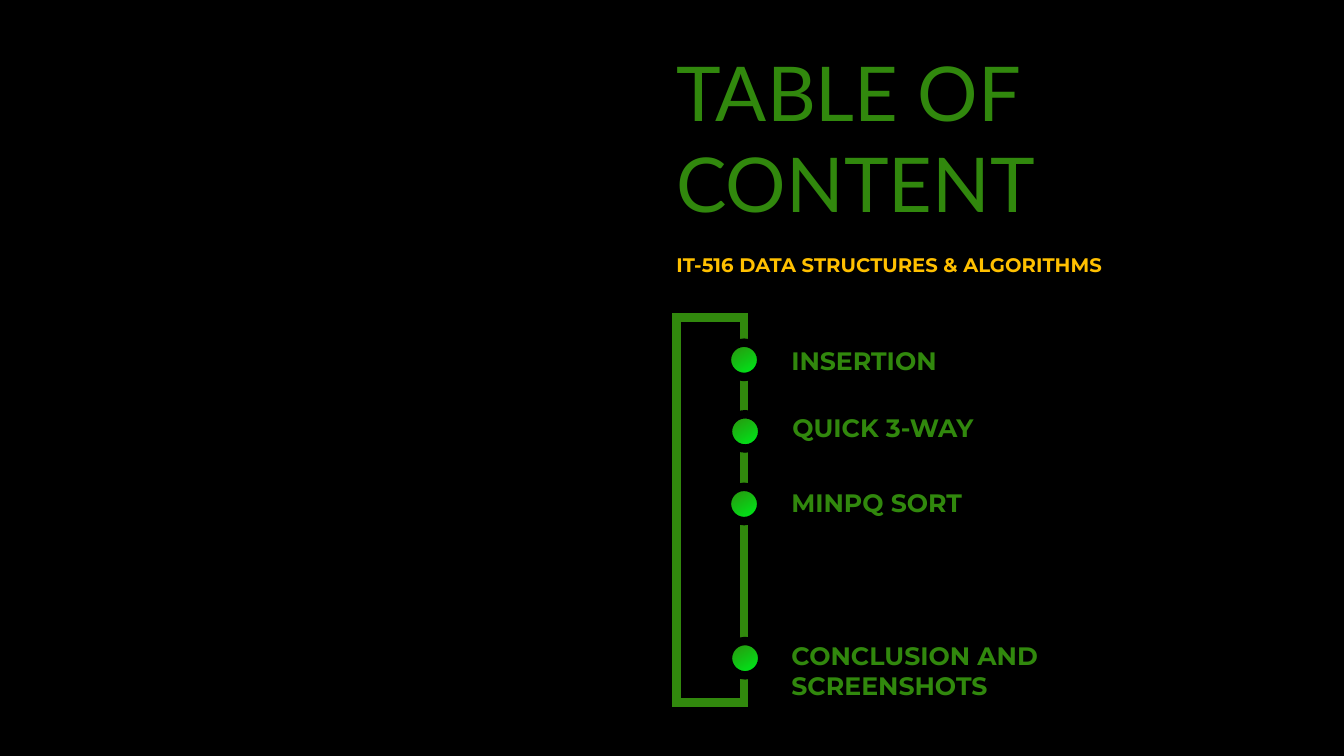
from copy import deepcopy
from lxml.etree import SubElement
from pptx import Presentation
from pptx.dml.color import RGBColor
from pptx.enum.shapes import MSO_SHAPE as SHAPE
from pptx.enum.text import MSO_ANCHOR as ANCHOR, MSO_AUTO_SIZE as AUTO, PP_ALIGN as ALIGN
from pptx.oxml.ns import qn
from pptx.util import Inches, Pt

GREEN, GOLD, BLACK = "31880D", "FFC000", "000000"
STOPS = [(0, GREEN), (0.83, "00E619"), (1, "92D12B")]
TITLE = ("TABLE OF CONTENT", (6.61, 0.41, 6.11, 1.92))
COURSE = ("IT-516 DATA STRUCTURES & ALGORITHMS", (6.61, 2.34, 6.05, 0.45))
TOPICS = [
    ("INSERTION", (7.75, 3.38), (7.21, 3.4)),
    ("QUICK 3-WAY", (7.76, 4.04), (7.22, 4.11)),
    ("MINPQ SORT", (7.75, 4.79), (7.21, 4.83)),
    ("CONCLUSION AND SCREENSHOTS", (7.75, 6.3), (7.22, 6.36)),
]
TOPIC_SIZE = (4.53, 0.4)
DOT_SIZE = (0.34, 0.34)
FRAME = (6.71, 3.15, 0.67, 3.82)


def rgb(value):
    return RGBColor.from_string(value)


def inches(box):
    return [Inches(v) for v in box]


def write(sp, text, size, font, color, bold=False, spacing=1.0):
    tf = sp.text_frame
    tf.word_wrap = True
    tf.auto_size = AUTO.NONE
    tf.vertical_anchor = ANCHOR.TOP
    tf.text = text
    p = tf.paragraphs[0]
    p.alignment = ALIGN.LEFT
    p.line_spacing = spacing
    p.font.size, p.font.name, p.font.bold = Pt(size), font, bold
    p.font.color.rgb = rgb(color)


def outlined(slide, kind, box, color):
    sp = slide.shapes.add_shape(kind, *inches(box))
    sp.shadow.inherit = False
    sp.line.color.rgb = rgb(color)
    sp.line.width = Pt(6)
    SubElement(sp.line._get_or_add_ln(), qn("a:miter"), lim="800000")
    return sp


def fill_gradient(sp):
    sp.fill.gradient()
    sp.fill.gradient_angle = 300
    stop_list = sp._element.spPr.find(qn("a:gradFill")).find(qn("a:gsLst"))
    stop_list.append(deepcopy(stop_list[-1]))
    for stop, (position, color) in zip(sp.fill.gradient_stops, STOPS):
        stop.position = position
        stop.color.rgb = rgb(color)


def main():
    prs = Presentation()
    prs.slide_width, prs.slide_height = Inches(13.33), Inches(7.5)
    slide = prs.slides.add_slide(prs.slide_layouts[5])
    slide.background.fill.solid()
    slide.background.fill.fore_color.rgb = rgb(BLACK)

    text, box = TITLE
    title = slide.shapes.title
    title.left, title.top, title.width, title.height = inches(box)
    write(title, text, 54, "Lato", GREEN)

    text, box = COURSE
    write(slide.shapes.add_textbox(*inches(box)), text, 14, "Montserrat", GOLD, True, 1.5)

    outlined(slide, SHAPE.RECTANGLE, FRAME, GREEN).fill.background()
    for text, corner, dot in TOPICS:
        label = slide.shapes.add_textbox(*inches(corner + TOPIC_SIZE))
        write(label, text, 18, "Montserrat", GREEN, True)
        fill_gradient(outlined(slide, SHAPE.OVAL, dot + DOT_SIZE, BLACK))

    prs.save("out.pptx")


if __name__ == "__main__":
    main()
